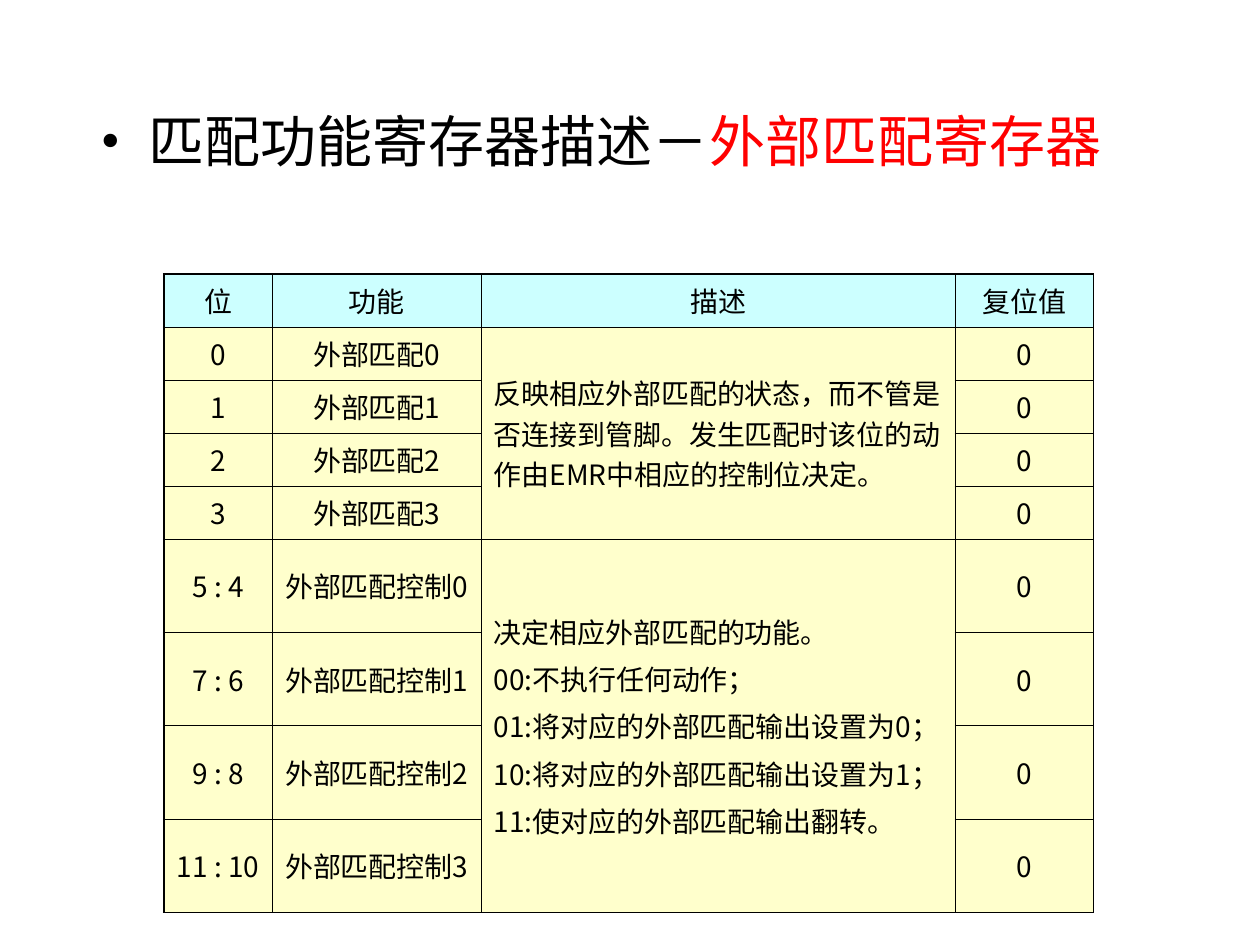
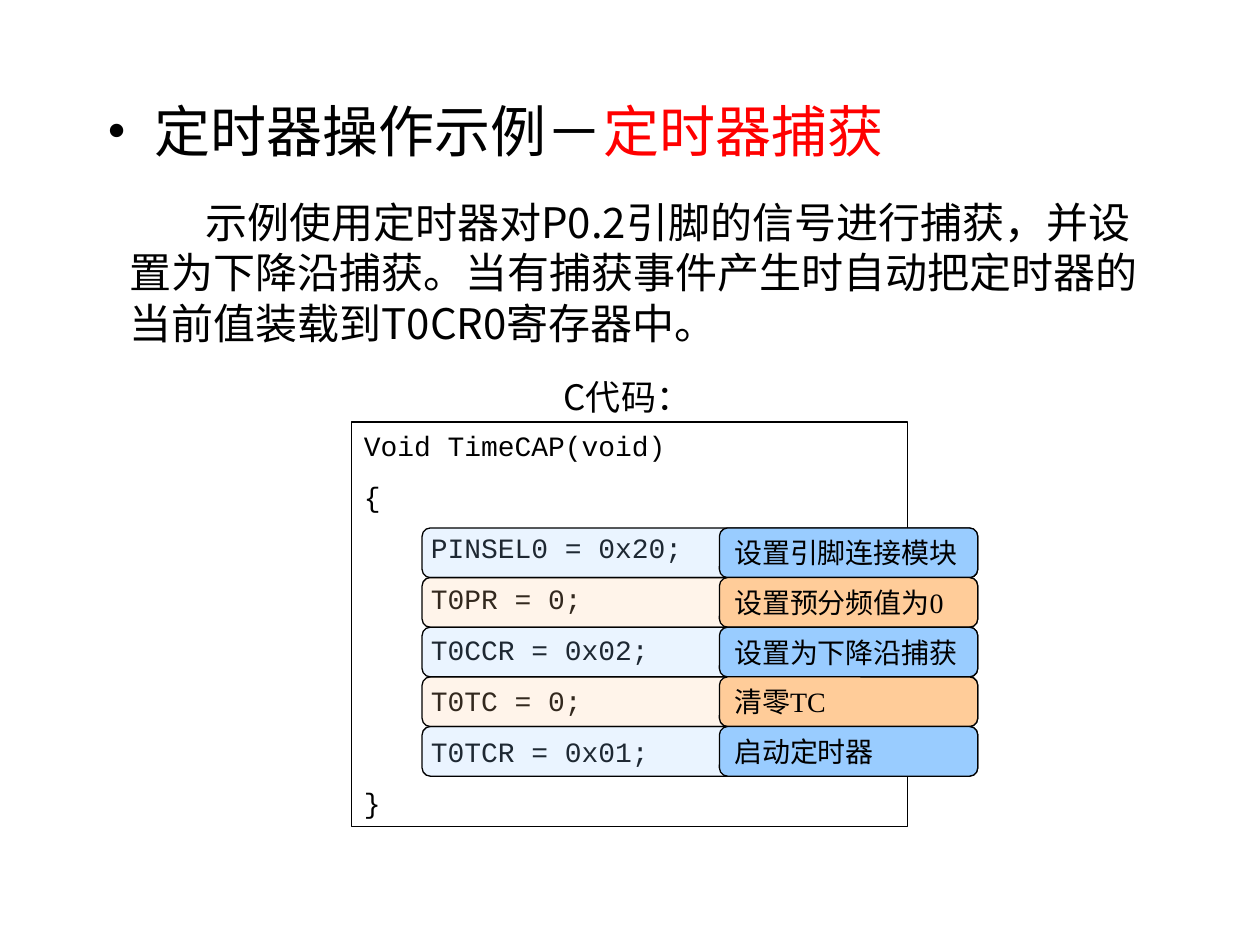
from dataclasses import dataclass
from typing import NamedTuple

from lxml.etree import SubElement
from pptx import Presentation
from pptx.dml.color import RGBColor
from pptx.enum.shapes import MSO_SHAPE
from pptx.enum.text import MSO_ANCHOR, PP_ALIGN
from pptx.oxml.ns import qn
from pptx.util import Emu, Inches, Pt

SLIDE_WIDTH, SLIDE_HEIGHT = Inches(10), Inches(7.5)
GRID_COLUMNS, GRID_ROWS = 100, 75


@dataclass(frozen=True)
class Theme:
    ink: str = "000000"
    accent: str = "FF0000"
    paper: str = "FFFFFF"
    header: str = "CCFFFF"
    body: str = "FFFFCC"
    blue: str = "99CCFF"
    orange: str = "FFCC99"
    serif: str = "Times New Roman"
    sans: str = "Noto Sans CJK SC"
    sans_wide: str = "Noto Sans CJK JP"
    mono: str = "Courier New"
    title_size: float = 32
    intro_size: float = 24
    caption_size: float = 20
    text_size: float = 16
    outer_border: float = 1.08
    inner_border: float = 0.45
    outline: float = 0.75


class Box(NamedTuple):
    """A place on the slide grid, in columns and rows."""
    col: float
    row: float
    cols: float
    rows: float

    def lengths(self) -> tuple:
        return (across(self.col), down(self.row), across(self.cols), down(self.rows))


class Register(NamedTuple):
    bits: str
    function: str
    reset: str = "0"


class Step(NamedTuple):
    code: str
    meaning: str


THEME = Theme()

HEADINGS = ("位", "功能", "描述", "复位值")
COLUMN_SPANS = (8.6, 16.6, 37.6, 11)
STATUS_BITS = [Register(str(n), f"外部匹配{n}") for n in range(4)]
CONTROL_BITS = [Register(f"{2 * n + 5} : {2 * n + 4}", f"外部匹配控制{n}")
                for n in range(4)]
STATUS_TEXT = ("反映相应外部匹配的状态，而不管是否连接到管脚。"
               "发生匹配时该位的动作由EMR中相应的控制位决定。")
CONTROL_TEXT = "\n".join((
    "决定相应外部匹配的功能。",
    "00:不执行任何动作；",
    "01:将对应的外部匹配输出设置为0；",
    "10:将对应的外部匹配输出设置为1；",
    "11:使对应的外部匹配输出翻转。",
))

INTRO = ("示例使用定时器对P0.2引脚的信号进行捕获，并设置为下降沿捕获。"
         "当有捕获事件产生时自动把定时器的当前值装载到T0CR0寄存器中。")
STEPS = (
    Step("PINSEL0 = 0x20;", "设置引脚连接模块"),
    Step("T0PR = 0;", "设置预分频值为0"),
    Step("T0CCR = 0x02;", "设置为下降沿捕获"),
    Step("T0TC = 0;", "清零TC"),
    Step("T0TCR = 0x01;", "启动定时器"),
)


def across(columns: float) -> Emu:
    return Emu(round(SLIDE_WIDTH * columns / GRID_COLUMNS))


def down(rows: float) -> Emu:
    return Emu(round(SLIDE_HEIGHT * rows / GRID_ROWS))


def write(frame, text: str, *, size: float = THEME.text_size, font: str = THEME.sans,
          east_asian: str = THEME.sans, color: str = THEME.ink, align=PP_ALIGN.LEFT,
          gap: float = 0, highlight: str = "", first_indent: float = 0) -> None:
    """Write one paragraph per line; highlight ends the last one in the accent colour."""
    frame.word_wrap = True
    lines = text.split("\n")
    for number, line in enumerate(lines):
        paragraph = frame.add_paragraph() if number else frame.paragraphs[0]
        paragraph.alignment = align
        paragraph.space_before = Pt(gap if number else 0)
        if first_indent:
            paragraph._p.get_or_add_pPr().set("indent", str(across(first_indent)))
        parts = [(line, color)]
        if highlight and number == len(lines) - 1:
            parts.append((highlight, THEME.accent))
        for words, tint in parts:
            run = paragraph.add_run()
            run.text = words
            run.font.size = Pt(size)
            run.font.name = font
            run.font.color.rgb = RGBColor.from_string(tint)
            SubElement(run._r.get_or_add_rPr(), qn("a:ea"), typeface=east_asian)


def add_text(slide, box: Box, text: str, **style):
    frame = slide.shapes.add_textbox(*box.lengths()).text_frame
    write(frame, text, **style)
    return frame


def add_title(slide, box: Box, topic: str, focus: str) -> None:
    frame = add_text(slide, box, topic, highlight=focus, size=THEME.title_size,
                     font=THEME.serif)
    properties = frame.paragraphs[0]._p.get_or_add_pPr()
    hanging = across(3.8)
    properties.set("marL", str(hanging))
    properties.set("indent", str(-hanging))
    bullet_color = SubElement(properties, qn("a:buClr"))
    SubElement(bullet_color, qn("a:srgbClr"), val=THEME.ink)
    SubElement(properties, qn("a:buFont"), typeface=THEME.serif)
    SubElement(properties, qn("a:buChar"), char="•")


def add_panel(slide, kind, box: Box, fill: str, opacity: int = 100):
    panel = slide.shapes.add_shape(kind, *box.lengths())
    panel.shadow.inherit = False
    panel.fill.solid()
    panel.fill.fore_color.rgb = RGBColor.from_string(fill)
    panel.line.color.rgb = RGBColor.from_string(THEME.ink)
    panel.line.width = Pt(THEME.outline)
    if opacity < 100:
        tint = panel._element.spPr.find(qn("a:solidFill")).find(qn("a:srgbClr"))
        SubElement(tint, qn("a:alpha"), val=str(opacity * 1000))
    return panel


def set_borders(cell, outer_sides: dict[str, bool]) -> None:
    properties = cell._tc.get_or_add_tcPr()
    for side, is_outer in outer_sides.items():
        width = THEME.outer_border if is_outer else THEME.inner_border
        border = SubElement(properties, qn(f"a:ln{side}"), w=str(Pt(width)))
        ink = SubElement(border, qn("a:solidFill"))
        SubElement(ink, qn("a:srgbClr"), val=THEME.ink)


def add_register_table(slide) -> None:
    registers = STATUS_BITS + CONTROL_BITS
    heights = [4.2] * (1 + len(STATUS_BITS)) + [7.41] * len(CONTROL_BITS)
    place = Box(13, 21.75, sum(COLUMN_SPANS), sum(heights))
    table = slide.shapes.add_table(len(heights), len(HEADINGS), *place.lengths()).table
    table.first_row = table.horz_banding = False
    for column, span in zip(table.columns, COLUMN_SPANS):
        column.width = across(span)
    for row, height in zip(table.rows, heights):
        row.height = down(height)

    control_row = 1 + len(STATUS_BITS)
    descriptions = {1: STATUS_TEXT, control_row: CONTROL_TEXT}
    contents = [HEADINGS] + [
        (register.bits, register.function, descriptions.get(number, ""), register.reset)
        for number, register in enumerate(registers, 1)]
    last_row, last_column = len(heights) - 1, len(HEADINGS) - 1
    for r, values in enumerate(contents):
        for c, value in enumerate(values):
            cell = table.cell(r, c)
            is_description = r > 0 and c == 2
            reaches_bottom = r == last_row or (is_description and r == control_row)
            set_borders(cell, {"L": c == 0, "R": c == last_column,
                               "T": r == 0, "B": reaches_bottom})
            cell.fill.solid()
            cell.fill.fore_color.rgb = RGBColor.from_string(
                THEME.body if r else THEME.header)
            cell.vertical_anchor = MSO_ANCHOR.MIDDLE
            if value:
                write(cell.text_frame, value, gap=4,
                      align=PP_ALIGN.LEFT if is_description else PP_ALIGN.CENTER)
    table.cell(1, 2).merge(table.cell(control_row - 1, 2))
    table.cell(control_row, 2).merge(table.cell(last_row, 2))


def add_code_listing(slide) -> None:
    listing = add_panel(slide, MSO_SHAPE.RECTANGLE, Box(27.9, 33.5, 44.1, 32.1),
                        THEME.paper)
    frame = listing.text_frame
    frame.vertical_anchor = MSO_ANCHOR.TOP
    code = ["Void TimeCAP(void)", "{", *("    " + step.code for step in STEPS), "}"]
    write(frame, "\n".join(code), font=THEME.mono, gap=10)


def add_steps(slide) -> None:
    """Lay a tinted strip over each code line, with its meaning at the right end."""
    band = Box(33.5, 41.9, 44.1, 3.94)
    label_cols = 20.5
    for number, step in enumerate(STEPS):
        color = THEME.orange if number % 2 else THEME.blue
        strip = band._replace(row=band.row + number * band.rows)
        label = strip._replace(col=band.col + band.cols - label_cols, cols=label_cols)
        add_panel(slide, MSO_SHAPE.ROUNDED_RECTANGLE, strip, color, opacity=20)
        meaning = add_panel(slide, MSO_SHAPE.ROUNDED_RECTANGLE, label, color)
        meaning.text_frame.vertical_anchor = MSO_ANCHOR.MIDDLE
        write(meaning.text_frame, step.meaning, font=THEME.serif)


def build_register_slide(slide) -> None:
    add_register_table(slide)
    add_title(slide, Box(7, 8, 83.9, 6.7), "匹配功能寄存器描述－", "外部匹配寄存器")


def build_capture_slide(slide) -> None:
    add_title(slide, Box(7.5, 7.2, 81.9, 6.7), "定时器操作示例－", "定时器捕获")
    add_code_listing(slide)
    add_text(slide, Box(39.8, 29.3, 20, 4.4), "C代码：", size=THEME.caption_size,
             font=THEME.sans_wide, align=PP_ALIGN.CENTER)
    add_steps(slide)
    add_text(slide, Box(9.3, 15.1, 83.2, 13), INTRO, size=THEME.intro_size,
             font=THEME.sans_wide, first_indent=6)


def main() -> None:
    deck = Presentation()
    deck.slide_width, deck.slide_height = SLIDE_WIDTH, SLIDE_HEIGHT
    blank = deck.slide_layouts[6]
    for build in (build_register_slide, build_capture_slide):
        build(deck.slides.add_slide(blank))
    deck.save("out.pptx")


if __name__ == "__main__":
    main()
